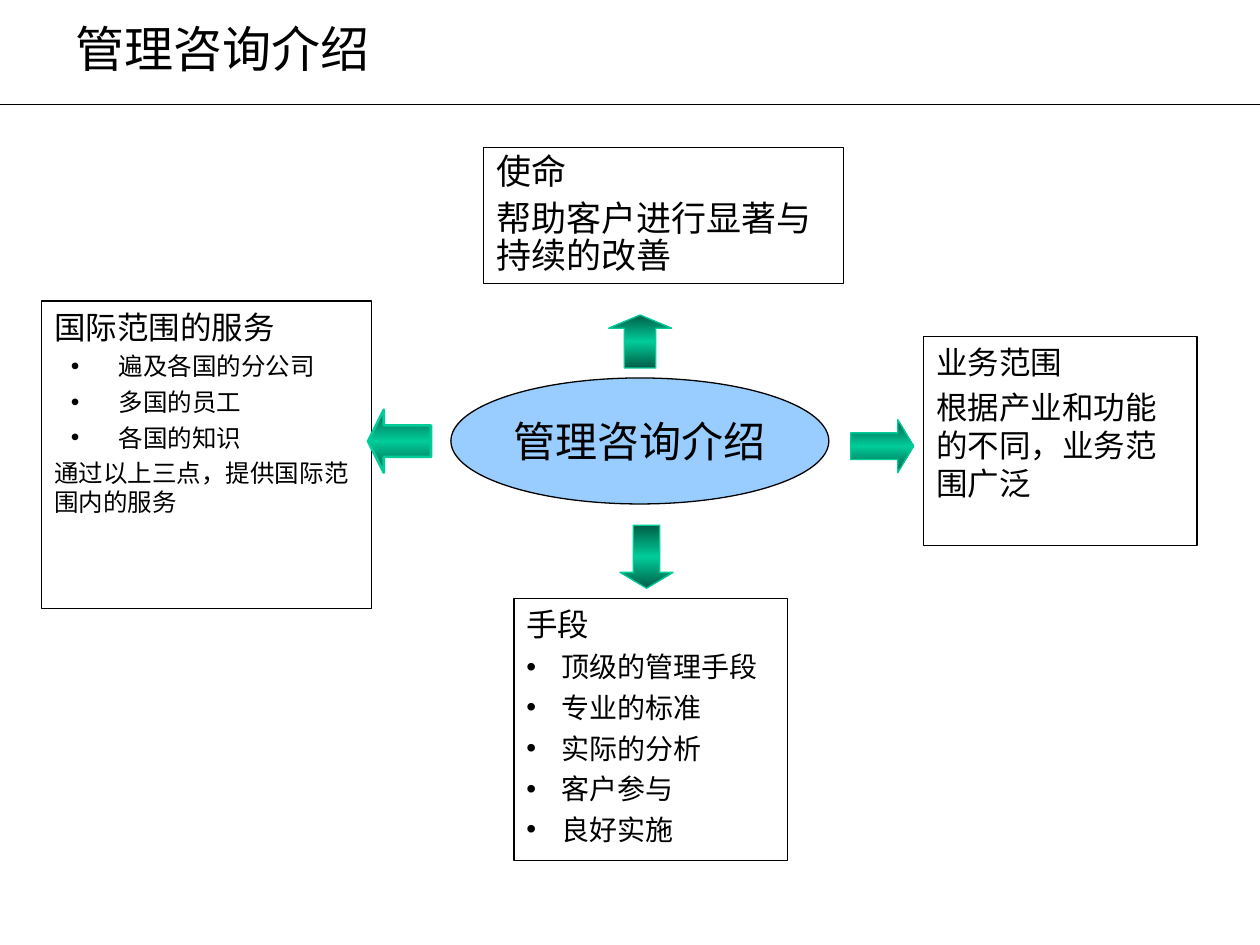
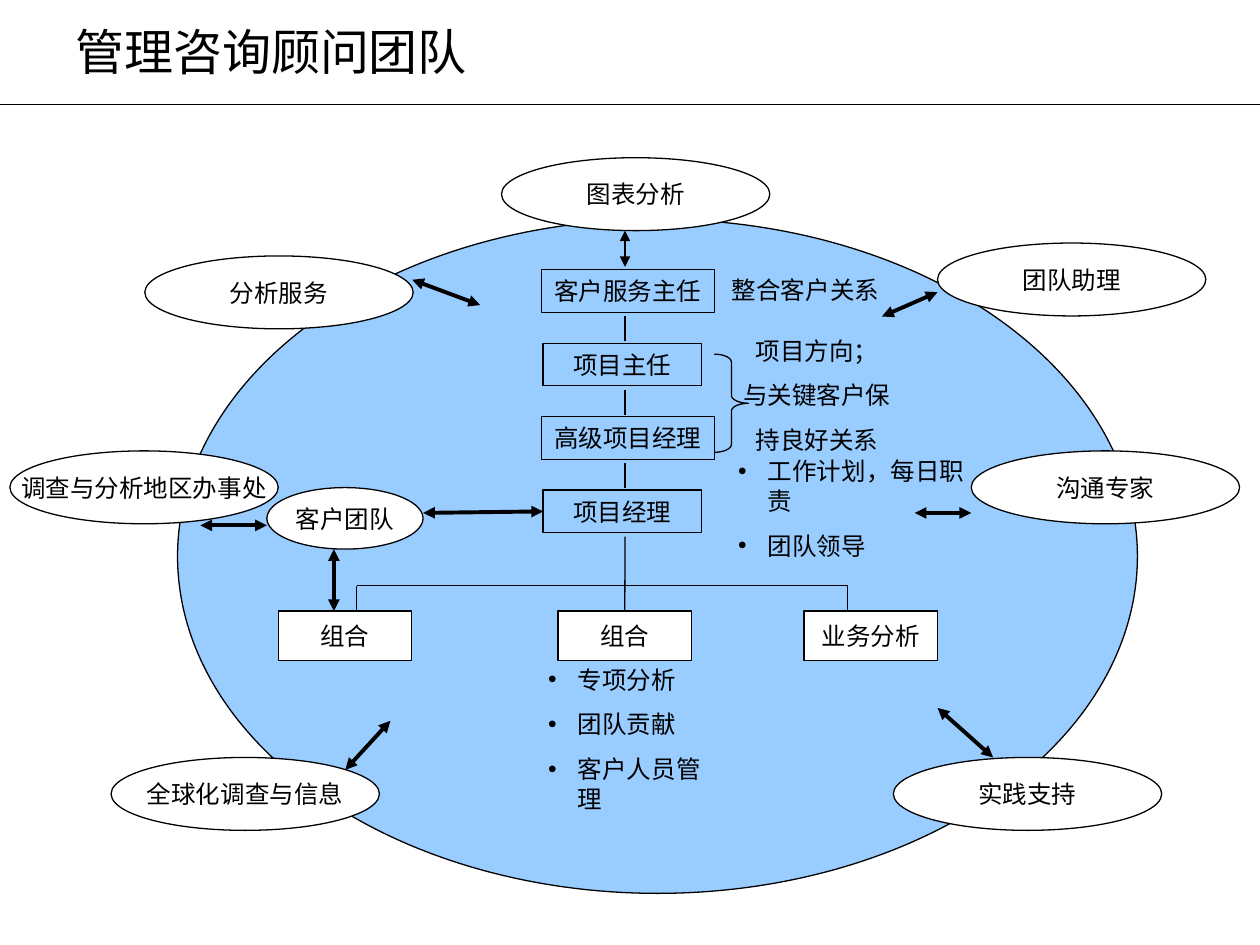
"""Builds two slides on management consulting: its profile and its team."""
from lxml import etree
import copy
from pptx import Presentation
from pptx import util as u
from pptx.dml import color
from pptx.enum import shapes, text
from pptx.oxml import ns

INK, SKY, WHITE, JADE, PINE = "000000", "99CCFF", "FFFFFF", "00CC99", "005E47"
SANS, SERIF = "Noto Sans CJK SC", "Times New Roman"
KIND, SIDE, MID = shapes.MSO_SHAPE, text.PP_ALIGN, text.MSO_ANCHOR.MIDDLE
RECT, OVAL = KIND.RECTANGLE, KIND.OVAL
FIT = text.MSO_AUTO_SIZE
PAD = {"margin_left": u.Cm(0.25), "margin_right": u.Cm(0.25),
       "margin_top": u.Cm(0.13), "margin_bottom": u.Cm(0.13)}


def rgb(code):
    """Turn a hex string into a colour."""
    return color.RGBColor.from_string(code)


def apply(item, values):
    """Set each attribute of an item from a dict."""
    for key, value in values.items():
        setattr(item, key, value)


def move(area, left, top, *size):
    """Shift a place by the corner of an area, as lengths."""
    return [u.Cm(v) for v in (area[0] + left, area[1] + top, *size)]


def bullet(para, dent):
    """Give a paragraph a bullet and hanging indent, or neither."""
    props = para._p.get_or_add_pPr()
    left, hang = dent or (0, 0)
    props.set("marL", str(u.Cm(left)))
    props.set("indent", str(-u.Cm(hang)))
    if dent:
        etree.SubElement(props, ns.qn("a:buFont")).set("typeface", "Arial")
        etree.SubElement(props, ns.qn("a:buChar")).set("char", "•")
    else:
        etree.SubElement(props, ns.qn("a:buNone"))


def write(shape, rows, face=SERIF, side=SIDE.LEFT, gap=0.25, lead=1.2, **frame):
    """Fill a shape with rows of (words, size, indents)."""
    body = shape.text_frame
    apply(body, {"word_wrap": True, "auto_size": FIT.NONE,
                 "vertical_anchor": text.MSO_ANCHOR.TOP, **PAD, **frame})
    for num, (words, size, dent) in enumerate(rows):
        para = body.add_paragraph() if num else body.paragraphs[0]
        bullet(para, dent)
        apply(para, {"alignment": side, "line_spacing": u.Pt(size * lead),
                     "space_before": u.Pt(size * gap if num else 0)})
        run = para.add_run()
        run.text = words
        apply(run.font, {"name": face, "size": u.Pt(size), "bold": False})
        run.font.color.rgb = rgb(INK)
        etree.SubElement(run.font._element, ns.qn("a:ea")).set("typeface", SANS)


def edge(item, code=INK, width=0.75):
    """Draw the line of a shape or connector."""
    item.line.color.rgb = rgb(code)
    item.line.width = u.Pt(width)


def draw(slide, kind, place, fill=None):
    """Add a plain outlined shape."""
    shape = slide.shapes.add_shape(kind, *place)
    shape.shadow.inherit = False
    if fill:
        shape.fill.solid()
        shape.fill.fore_color.rgb = rgb(fill)
    else:
        shape.fill.background()
    edge(shape)
    return shape


def label(slide, kind, place, words, fill=None, size=14):
    """Add a shape with one centred line of words."""
    shape = draw(slide, kind, place, fill)
    write(shape, [(words, size, None)], side=SIDE.CENTER,
          word_wrap=False, vertical_anchor=MID)
    return shape


def note(slide, place, words, dent=None):
    """Add loose 14 point text, bulleted or centred."""
    box = slide.shapes.add_textbox(*place)
    write(box, [(row, 14, dent) for row in words], gap=0.63,
          side=SIDE.LEFT if dent else SIDE.CENTER, vertical_anchor=MID,
          word_wrap=bool(dent), auto_size=FIT.SHAPE_TO_FIT_TEXT)


def link(slide, area, ends, width=0.75, heads=False):
    """Add a straight line, with heads at both ends if asked."""
    place = move(area, *ends[:2]) + move(area, *ends[2:])
    wire = slide.shapes.add_connector(shapes.MSO_CONNECTOR.STRAIGHT, *place)
    edge(wire, width=width)
    if heads:
        for tag in ("a:headEnd", "a:tailEnd"):
            etree.SubElement(wire.line._get_or_add_ln(), ns.qn(tag)).set("type", "triangle")
    etree.SubElement(wire._element.spPr, ns.qn("a:effectLst"))
    return wire


def start(deck, layout, words, height):
    """Add a slide with its title and header rule."""
    slide = deck.slides.add_slide(deck.slide_layouts[layout])
    link(slide, (0, 0), (0, 2.11, 25.4, 2.11))
    title = slide.shapes.title
    apply(title, dict(zip(("left", "top", "width", "height"),
                          move((0, 0), 1.27, 0.43, 23.29, height))))
    write(title, [(words, 28, None)], face=SANS, vertical_anchor=MID)
    return slide


def panel(shape, place, rows, **style):
    """Place an outlined panel and write its rows."""
    apply(shape, dict(zip(("left", "top", "width", "height"), place)))
    edge(shape)
    write(shape, rows, **style)


def arrow(slide, kind, place, head, width):
    """Add a block arrow with a green gradient."""
    shape = draw(slide, kind, place)
    shape.adjustments[0], shape.adjustments[1] = 0.5, head
    edge(shape, JADE, width)
    shape.fill.gradient()
    shape.fill.gradient_angle = 90
    stops = shape._element.spPr.find(".//" + ns.qn("a:gsLst"))
    stops.insert(1, copy.deepcopy(stops[0]))
    for stop, at, code in zip(shape.fill.gradient_stops, (0, 0.5, 1), (PINE, JADE, PINE)):
        stop.position = at
        stop.color.rgb = rgb(code)


def hub(slide, area):
    """Draw the profile: a centre, four arrows and four panels."""
    reach, aim = slide.placeholders[1], slide.placeholders[2]
    deep, flat = (1.3, 0.96), (0.72, 0.72)
    points = ("遍及各国的分公司", "多国的员工", "各国的知识")
    panel(reach, move(area, 0, 3.1, 6.65, 6.2),
          [("国际范围的服务", 18, None), *[(row, 14, deep) for row in points],
           ("通过以上三点，提供国际范围内的服务", 14, None)], face=SANS)
    panel(aim, move(area, 8.91, 0, 7.26, 2.74),
          [("使命", 20, None), ("帮助客户进行显著与持续的改善", 20, None)],
          face=SANS, lead=1.08)
    means = ("顶级的管理手段", "专业的标准", "实际的分析", "客户参与", "良好实施")
    for place, rows in (
            ((17.78, 3.81, 5.51, 4.22),
             [("业务范围", 18, None), ("根据产业和功能的不同，业务范围广泛", 18, None)]),
            ((9.52, 9.1, 5.51, 5.28),
             [("手段", 18, None), *[(row, 16, flat) for row in means]])):
        spot = move(area, *place)
        panel(draw(slide, RECT, spot), spot, rows)
    label(slide, OVAL, move(area, 8.25, 4.65, 7.62, 2.54), "管理咨询介绍", SKY, 24)
    for kind, place, head, width in (
            (KIND.UP_ARROW, (11.43, 3.38, 1.27, 1.07), 0.25, 0.75),
            (KIND.LEFT_ARROW, (6.58, 5.29, 1.27, 1.27), 0.25, 1.5),
            (KIND.RIGHT_ARROW, (16.31, 5.49, 1.27, 1.07), 0.3, 0.75),
            (KIND.DOWN_ARROW, (11.66, 7.62, 1.07, 1.27), 0.3, 0.75)):
        arrow(slide, kind, move(area, *place), head, width)


def chart(slide, area):
    """Draw the ranks, the units below them and the client team."""
    axis, step, bar, base = 12.4, 1.48, 8.63, 9.14
    wide, slim = (10.72, 3.48), (10.75, 3.2)
    ranks = (("客户服务主任", wide), ("项目主任", slim),
             ("高级项目经理", wide), ("项目经理", slim))
    for num, (words, (left, width)) in enumerate(ranks):
        rank = label(slide, RECT, move(area, left, 2.26 + num * step, width, 0.86), words)
        if num:
            top = 3.2 + (num - 1) * step
            link(slide, area, (axis, top, axis, top + 0.5))
    units = [label(slide, RECT, move(area, left, base, 2.69, 0.99), words, WHITE)
             for words, left in (("组合", 5.41), ("组合", 11.05), ("业务分析", 16.01))]
    link(slide, area, (axis, 7.64, axis, base)).end_connect(units[1], 0)
    link(slide, area, (6.99, bar, 16.89, bar))
    for left in (6.99, 16.89):
        link(slide, area, (left, bar, left, base))
    label(slide, OVAL, move(area, 5.18, 6.65, 3.15, 1.24), "客户团队", WHITE)
    link(slide, area, (8.33, 7.16, 10.75, 7.16), 2.25, True).end_connect(rank, 1)
    link(slide, area, (6.53, 7.89, 6.53, base), 2.25, True)


def roles(slide, area):
    """Write what each rank does, with the brace."""
    dent = (0.6, 0.6)
    brace = draw(slide, KIND.RIGHT_BRACE, move(area, 14.2, 3.96, 0.69, 1.98))
    brace.adjustments[0] = 0.23
    note(slide, move(area, 14.3, 2.23, 3.48, 0.86), ["整合客户关系"])
    note(slide, move(area, 14.53, 3.45, 3.48, 2.67),
         ["项目方向；", "与关键客户保", "持良好关系"])
    note(slide, move(area, 14.43, 6.19, 5.13, 1.75),
         ["工作计划，每日职责", "团队领导"], dent)
    note(slide, move(area, 10.6, 10.38, 3.66, 2.67),
         ["专项分析", "团队贡献", "客户人员管理"], dent)


def ring(slide, area):
    """Place the support groups round the core with their arrows."""
    for words, left, top, ends, width in (
            ("全球化调查与信息", 2.04, 12.09, (6.76, 12.34, 7.67, 11.35), 2.25),
            ("沟通专家", 19.38, 5.91, (18.24, 7.16, 19.38, 7.16), 2.25),
            ("团队助理", 18.7, 1.72, (17.58, 3.2, 18.7, 2.71), 2.25),
            ("图表分析", 9.91, 0, (12.4, 1.47, 12.4, 2.2), 0.75),
            ("分析服务", 2.72, 1.98, (9.48, 2.97, 8.11, 2.46), 2.25),
            ("调查与分析地区办事处", 0, 5.91, (3.84, 7.41, 5.18, 7.41), 2.25),
            ("实践支持", 17.81, 12.09, (19.82, 12.09, 18.7, 11.09), 2.25)):
        label(slide, OVAL, move(area, left, top, 5.41, 1.47), words, WHITE)
        link(slide, area, ends, width, True)


def main():
    """Build and save the deck."""
    deck = Presentation()
    apply(deck, {"slide_width": u.Cm(25.4), "slide_height": u.Cm(19.05)})
    hub(start(deck, 3, "管理咨询介绍", 1.09), (0.84, 2.97))
    team, area = start(deck, 5, "管理咨询顾问团队", 1.19), (0.2, 3.18)
    draw(team, OVAL, move(area, 3.38, 1.24, 19.35, 13.59), SKY)
    for part in (chart, roles, ring):
        part(team, area)
    deck.save("out.pptx")


if __name__ == "__main__":
    main()
